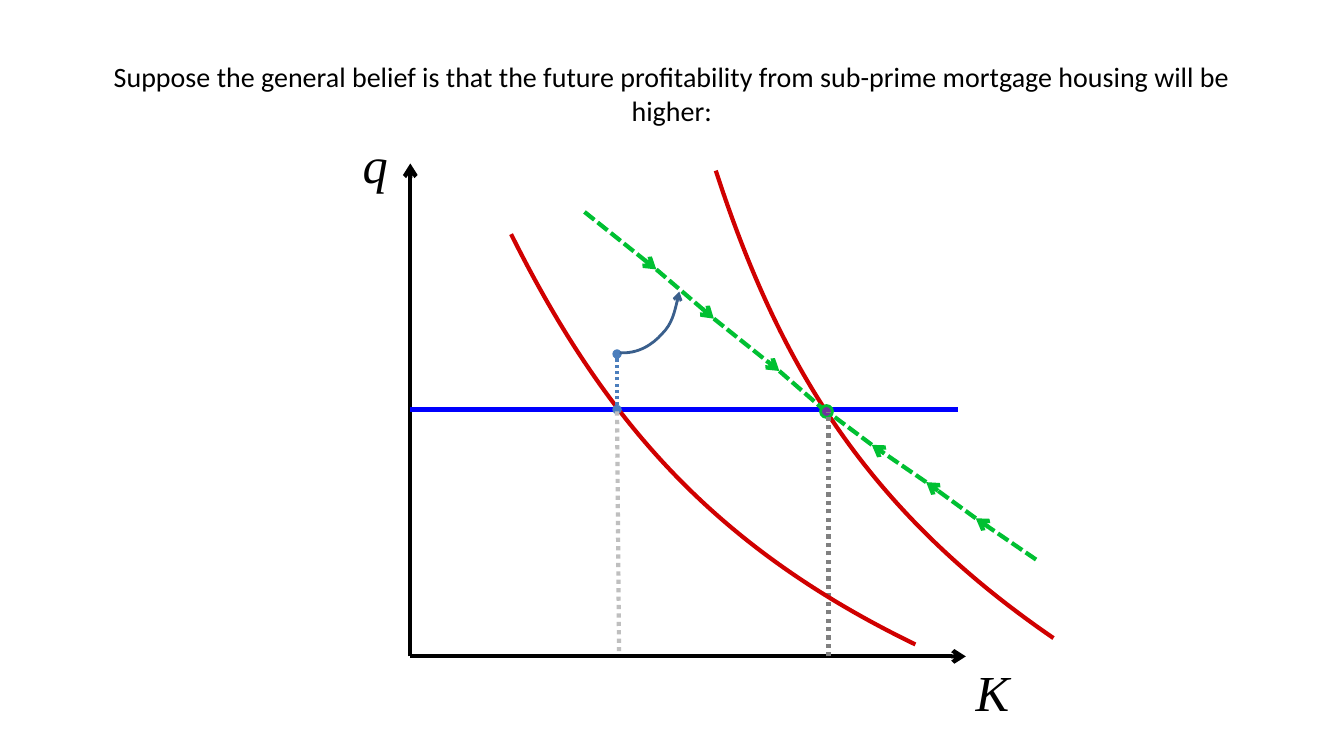
from itertools import pairwise

from lxml import etree
from pptx import Presentation
from pptx.dml.color import RGBColor
from pptx.enum.dml import MSO_LINE
from pptx.enum.shapes import MSO_CONNECTOR, MSO_SHAPE
from pptx.enum.text import MSO_ANCHOR, PP_ALIGN
from pptx.oxml.ns import qn
from pptx.util import Cm, Pt

STRAIGHT = MSO_CONNECTOR.STRAIGHT
OVAL = MSO_SHAPE.OVAL
DASH, DOT = MSO_LINE.SQUARE_DOT, MSO_LINE.ROUND_DOT
MIDDLE = MSO_ANCHOR.MIDDLE
CENTER = PP_ALIGN.CENTER

COLORS = {
    "ink": "000000",
    "demand": "D00000",
    "cost": "0000FE",
    "saddle": "00C032",
    "steady": "7030A0",
    "jump": "4B7EBC",
    "jump_arrow": "3A5F8C",
    "new_guide": "808080",
    "old_guide": "BFBFBF",
}

# Plot coordinates: centimetres right of and above the origin of the axes
AXIS_LENGTHS = {"K": 14.0, "q": 12.42}
COST_LEVEL, COST_LENGTH = 6.22, 13.79
OLD_DEMAND = [(2.54, 10.64), (4.85, 6.02), (7.59, 2.79), (12.73, 0.3)]
NEW_DEMAND = [(7.7, 12.24), (9.3, 7.32), (11.51, 3.68), (16.21, 0.46)]
SADDLE_PATHS = [
    [(4.39, 11.2), (6.2, 9.75), (7.65, 8.51), (9.3, 7.19), (10.44, 6.2)],
    [(15.77, 2.44), (14.25, 3.48), (13.0, 4.39), (11.63, 5.33), (10.67, 6.05)],
]
JUMP_K, JUMP_TOP = 5.21, 7.62
JUMP_ARC = [(5.28, 7.65), (5.74, 7.62), (6.1, 7.85), (6.35, 8.13),
            (6.6, 8.38), (6.71, 8.86), (6.78, 9.19)]
STEADY_STATE, STEADY_SIZE = (10.49, 6.17), 0.3
NEW_GUIDE_K = 10.54


def rgb(name):
    return RGBColor.from_string(COLORS[name])


def style_line(shape, color, width, dash=None, head=None, tail=None):
    shape.line.color.rgb = rgb(color)
    shape.line.width = Pt(width)
    if dash is not None:
        shape.line.dash_style = dash
    outline = shape._element.spPr.find(qn("a:ln"))
    for tag, end in (("a:headEnd", head), ("a:tailEnd", tail)):
        if end:
            etree.SubElement(outline, qn(tag)).set("type", end)


def add_text(slide, box, text, font_name, size, italic=False):
    text_frame = slide.shapes.add_textbox(*(Cm(length) for length in box)).text_frame
    text_frame.word_wrap = True
    text_frame.text = text
    paragraph = text_frame.paragraphs[0]
    font = paragraph.runs[0].font
    font.name, font.size, font.italic = font_name, Pt(size), italic
    font.color.rgb = rgb("ink")
    return text_frame


def add_title(slide, box):
    text_frame = add_text(
        slide, box,
        "Suppose the general belief is that the future profitability from "
        "sub-prime mortgage housing will be higher:",
        "Calibri", 20)
    text_frame.vertical_anchor = MIDDLE
    text_frame.paragraphs[0].alignment = CENTER


def add_phase_diagram(slide, left, top, height):
    """Draw the diagram in the box whose lower left corner is the axes' origin."""
    bottom = top + height

    def place(point):
        return Cm(left + point[0]), Cm(bottom - point[1])

    def add_line(start, end, color, width=3, **ends):
        line = slide.shapes.add_connector(STRAIGHT, *place(start), *place(end))
        style_line(line, color, width, **ends)
        etree.SubElement(line._element.spPr, qn("a:effectLst"))

    def add_curve(points, color, width, tail=None):
        """Draw cubic Bezier pieces: a start, then three points for each piece."""
        start, *controls = [place(point) for point in points]
        builder = slide.shapes.build_freeform(*start)
        builder.add_line_segments(controls, close=False)
        curve = builder.convert_to_shape()
        curve.shadow.inherit = False
        curve.fill.background()
        style_line(curve, color, width, tail=tail)
        segments = list(curve._element.iter(qn("a:lnTo")))
        for first in range(0, len(segments), 3):
            piece = etree.Element(qn("a:cubicBezTo"))
            segments[first].addprevious(piece)
            for segment in segments[first:first + 3]:
                piece.append(segment[0])
                segment.getparent().remove(segment)

    def add_axis_label(text, x, y):
        add_text(slide, (left + x, bottom - y, 1.19, 1.8), text,
                 "Times New Roman", 36, italic=True)

    add_line((0, 0), (0, AXIS_LENGTHS["q"]), "ink", tail="arrow")
    add_line((0, 0), (AXIS_LENGTHS["K"], 0), "ink", tail="arrow")
    add_axis_label("q", -1.45, 13.31)
    add_axis_label("K", AXIS_LENGTHS["K"], 0)

    add_curve(NEW_DEMAND, "demand", 3)
    add_line((0, COST_LEVEL), (COST_LENGTH, COST_LEVEL), "cost")

    for saddle_path in SADDLE_PATHS:
        for start, end in pairwise(saddle_path):
            tail = None if end == saddle_path[-1] else "arrow"
            add_line(start, end, "saddle", dash=DASH, tail=tail)

    x, y = STEADY_STATE
    corner = place((x - STEADY_SIZE / 2, y + STEADY_SIZE / 2))
    steady = slide.shapes.add_shape(OVAL, *corner, Cm(STEADY_SIZE), Cm(STEADY_SIZE))
    steady.shadow.inherit = False
    steady.fill.solid()
    steady.fill.fore_color.rgb = rgb("steady")
    style_line(steady, "saddle", 2)

    add_line((NEW_GUIDE_K, 0), (NEW_GUIDE_K, 6.15), "new_guide", dash=DOT)
    add_curve(OLD_DEMAND, "demand", 3)
    add_line((JUMP_K, COST_LEVEL), (JUMP_K, JUMP_TOP), "jump", 2.25,
             dash=DOT, head="oval", tail="oval")
    add_curve(JUMP_ARC, "jump_arrow", 2, tail="arrow")
    add_line((5.26, 0.13), (JUMP_K, COST_LEVEL), "old_guide", dash=DOT)


def main():
    presentation = Presentation()
    presentation.slide_width, presentation.slide_height = Cm(33.87), Cm(19.05)
    slide = presentation.slides.add_slide(presentation.slide_layouts[6])
    add_title(slide, (1.69, 0.76, 30.48, 3.18))
    add_phase_diagram(slide, left=10.34, top=4.12, height=12.42)
    presentation.save("out.pptx")


if __name__ == "__main__":
    main()
